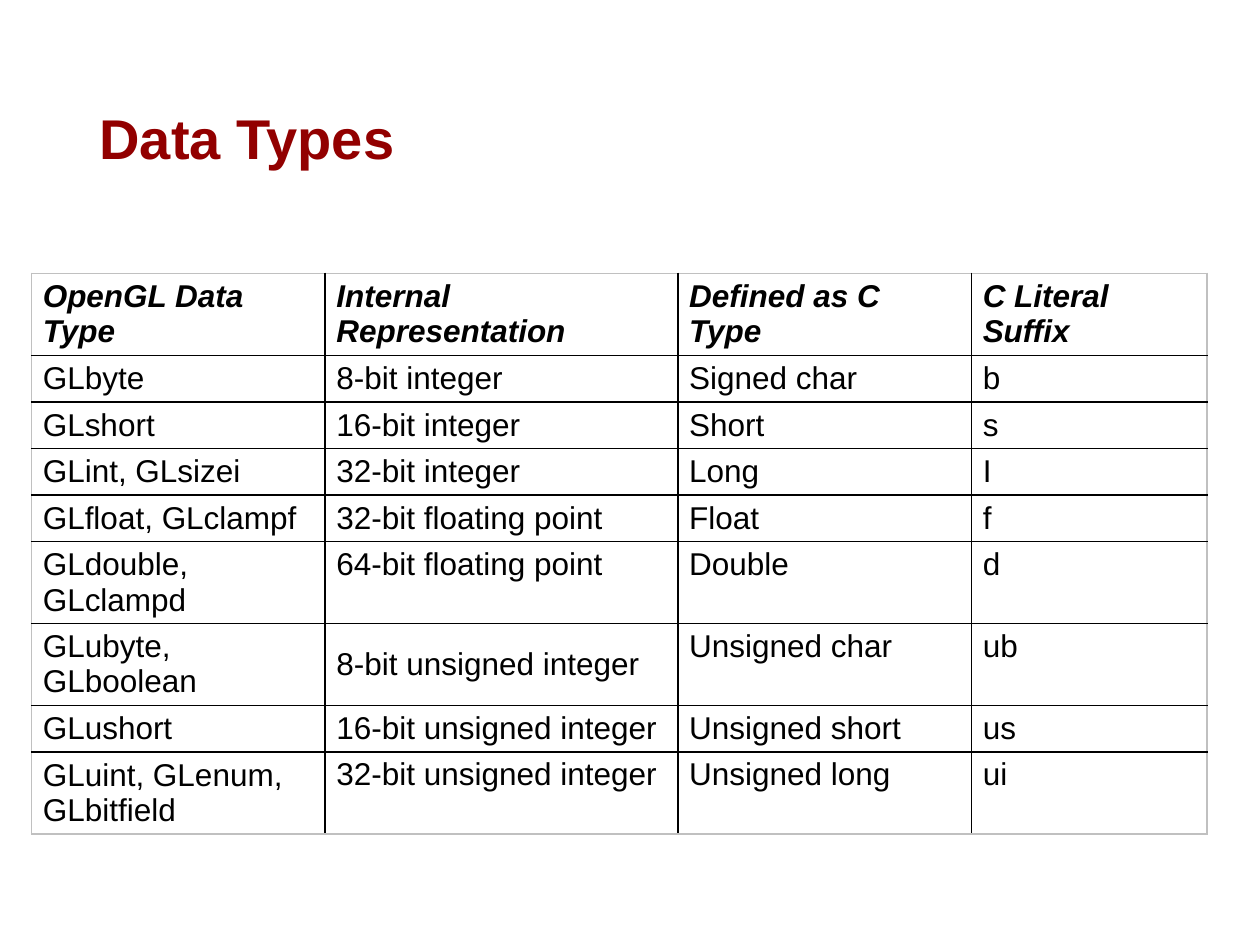
from lxml import etree
from pptx import Presentation, util as u
from pptx.dml.color import RGBColor
from pptx.enum import text
from pptx.oxml.ns import qn

TITLE = "Data Types"
HEADER = ("OpenGL Data Type", "Internal Representation", "Defined as C Type", "C Literal Suffix")
ROWS = [
    ("mmmm", HEADER),
    ("mmmm", ("GLbyte", "8-bit integer", "Signed char", "b")),
    ("mmmm", ("GLshort", "16-bit integer", "Short", "s")),
    ("mmmm", ("GLint, GLsizei", "32-bit integer", "Long", "I")),
    ("mmmm", ("GLfloat, GLclampf", "32-bit floating point", "Float", "f")),
    ("mttt", ("GLdouble, GLclampd", "64-bit floating point", "Double", "d")),
    ("tmtt", ("GLubyte, GLboolean", "8-bit unsigned integer", "Unsigned char", "ub")),
    ("tmtt", ("GLushort", "16-bit unsigned integer", "Unsigned short", "us")),
    ("mttt", ("GLuint, GLenum, GLbitfield", "32-bit unsigned integer", "Unsigned long", "ui")),
]
COL_WIDTHS = (2.33, 2.8, 2.33, 1.87)
TWO_LINE_ROWS = (0, 5, 6, 8)
ANCHORS = {"m": text.MSO_ANCHOR.MIDDLE, "t": text.MSO_ANCHOR.TOP}
THEME = {
    "font": "Arial", "title_size": 32, "cell_size": 18,
    "title": "920000", "text": "000000", "grid": "000000", "frame": "C0C0C0",
}


def set_font(p, size, color, bold=False, italic=False):
    f = p.font
    f.name, f.size, f.bold, f.italic = THEME["font"], u.Pt(size), bold, italic
    f.color.rgb = RGBColor.from_string(color)


def set_borders(cell, outer):
    tcPr = cell._tc.get_or_add_tcPr()
    for side, is_outer in zip("LRTB", outer):
        ln = etree.SubElement(tcPr, qn(f"a:ln{side}"), w=str(u.Pt(1)))
        fill = etree.SubElement(ln, qn("a:solidFill"))
        etree.SubElement(fill, qn("a:srgbClr"), val=THEME["frame" if is_outer else "grid"])


def add_title(s):
    sp = s.shapes.title
    sp.left, sp.top, sp.width, sp.height = map(u.Inches, (0.69, 0.4, 8.62, 1.45))
    tf = sp.text_frame
    tf.text, tf.vertical_anchor = TITLE, text.MSO_ANCHOR.MIDDLE
    p = tf.paragraphs[0]
    p.alignment, p.line_spacing = text.PP_ALIGN.LEFT, 0.9
    set_font(p, THEME["title_size"], THEME["title"], bold=True)


def add_types_table(s):
    heights = [0.65 if i in TWO_LINE_ROWS else 0.37 for i in range(len(ROWS))]
    n_rows, n_cols = len(ROWS), len(COL_WIDTHS)
    box = map(u.Inches, (0.25, 2.17, sum(COL_WIDTHS), sum(heights)))
    tbl = s.shapes.add_table(n_rows, n_cols, *box).table
    tbl.first_row = tbl.horz_banding = False
    for col, width in zip(tbl.columns, COL_WIDTHS):
        col.width = u.Inches(width)
    for i, (anchors, values) in enumerate(ROWS):
        tbl.rows[i].height = u.Inches(heights[i])
        for j, value in enumerate(values):
            cell = tbl.cell(i, j)
            cell.text, cell.vertical_anchor = value, ANCHORS[anchors[j]]
            cell.margin_left = cell.margin_right = u.Inches(0.09)
            cell.margin_top = cell.margin_bottom = u.Inches(0.04)
            set_borders(cell, (j == 0, j == n_cols - 1, i == 0, i == n_rows - 1))
            cell.fill.background()
            set_font(cell.text_frame.paragraphs[0], THEME["cell_size"], THEME["text"],
                     bold=i == 0, italic=i == 0)


def main():
    prs = Presentation()
    prs.slide_width, prs.slide_height = u.Inches(10), u.Inches(7.5)
    s = prs.slides.add_slide(prs.slide_layouts[5])
    add_title(s)
    add_types_table(s)
    prs.save("out.pptx")


if __name__ == "__main__":
    main()
